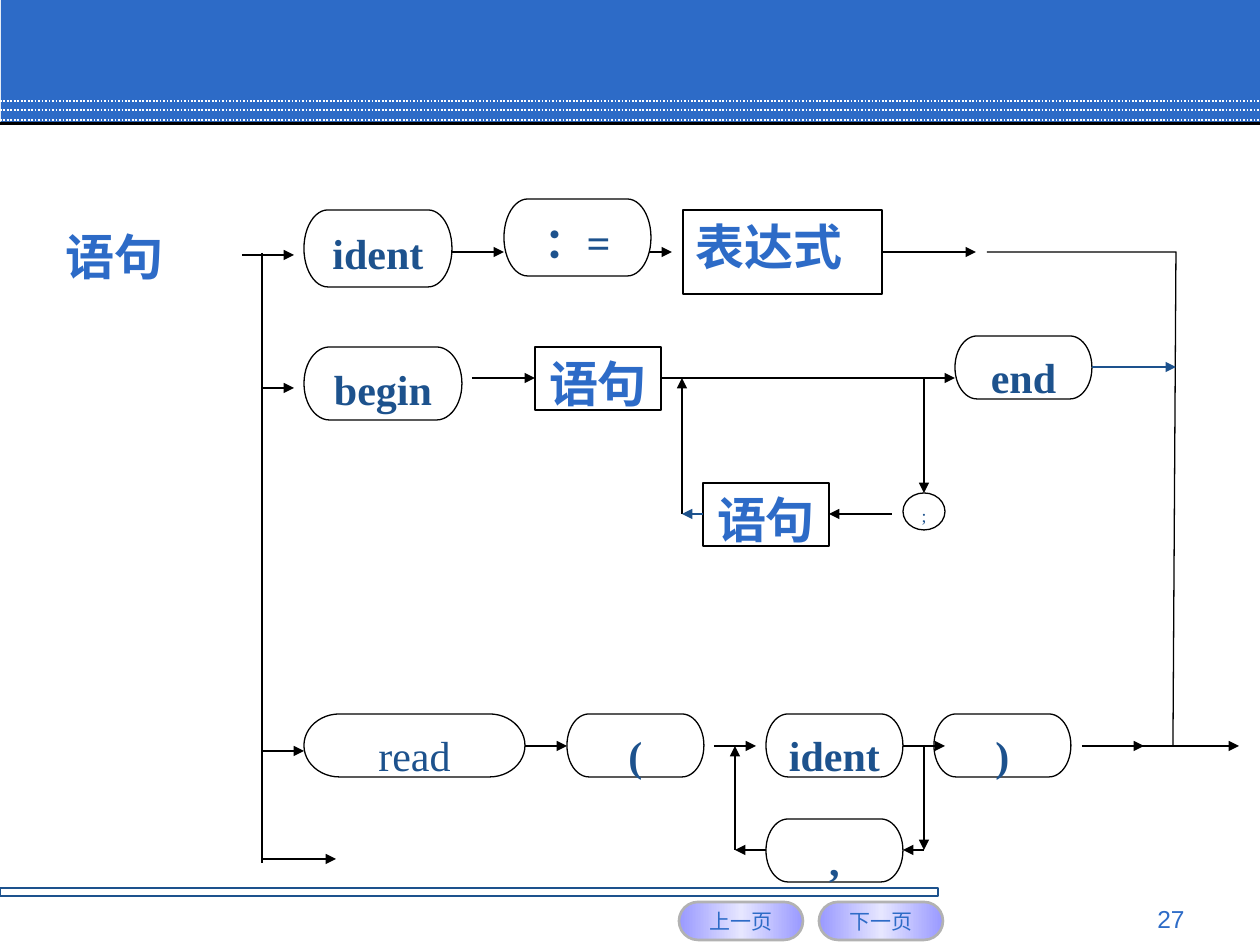
from copy import deepcopy
from pptx import Presentation
from pptx import util as u
from pptx.dml.color import RGBColor
from pptx.enum import dml, shapes, text
from pptx.oxml.ns import qn
from lxml import etree

PX = 914400 / 126
THEME = dict(
    blue="2D6BC7", navy="1D528D", black="000000", white="FFFFFF", gray="B2B2B2",
    lilac="9999FF", pale="E6E6FF",
    latin="Times New Roman", sans="Arial", chinese="Noto Sans CJK SC",
    tiny=10, button=12, number=14, token=24, rule=28, thin=0.75)

RULE_LINES = [101, 110, 120]
BUTTONS = [("上一页", 679), ("下一页", 819)]

TERMINALS = [
    ("ident", 304, 210, 148, 77),
    ("：=", 504, 199, 147, 77),
    ("begin", 304, 347, 158, 73),
    ("end", 955, 336, 137, 63),
    ("read", 304, 714, 221, 63),
    ("(", 567, 714, 137, 63),
    ("ident", 766, 714, 137, 63),
    (")", 934, 714, 137, 63),
    (",", 766, 819, 137, 63),
]
NONTERMINALS = [
    ("表达式", 683, 210, 199, 84),
    ("语句", 535, 347, 126, 63),
    ("语句", 703, 483, 126, 63),
]
ARROWS_BEHIND = [
    (242, 255, 294, 255), (451, 252, 504, 252), (620, 252, 672, 252),
    (262, 388, 294, 388), (262, 751, 304, 751), (262, 859, 336, 859),
]
ARROWS_FRONT = [
    (882, 252, 976, 252),
    (472, 378, 535, 378), (661, 378, 955, 378),
    (924, 378, 924, 493), (892, 514, 829, 514), (682, 514, 682, 378),
    (525, 746, 567, 746), (714, 746, 756, 746), (903, 746, 945, 746),
    (1082, 746, 1144, 746), (1134, 746, 1239, 746),
    (924, 746, 924, 850), (924, 850, 903, 850),
    (766, 850, 735, 850), (735, 850, 735, 746),
]
ARROWS_NAVY = [(703, 514, 682, 514), (1092, 367, 1176, 367)]
EXIT_PATH = [(987, 252), (1176, 252), (1173, 746)]


def emu(*lengths):
    return [u.Emu(round(length * PX)) for length in lengths]


def color(name):
    return RGBColor.from_string(THEME[name])


def outline(line, name, width):
    line.color.rgb = color(name)
    line.width = u.Pt(width)


def write(box, words, size, ink, font="latin", bold=False,
          align=text.PP_ALIGN.CENTER, anchor=text.MSO_ANCHOR.TOP, wrap=True):
    frame = box.text_frame
    frame.text = words
    frame.word_wrap = wrap
    frame.vertical_anchor = anchor
    para = frame.paragraphs[0]
    para.alignment = align
    span = para.runs[0]
    span.font.size = u.Pt(THEME[size])
    span.font.bold = bold
    span.font.name = THEME[font]
    span.font.color.rgb = color(ink)
    east = etree.SubElement(span.font._element, qn("a:ea"))
    east.set("typeface", THEME["chinese"])


def add_box(page, preset, place, fill="white", line="black", width=THEME["thin"]):
    box = page.shapes.add_shape(preset, *emu(*place))
    box.shadow.inherit = False
    if fill:
        box.fill.solid()
        box.fill.fore_color.rgb = color(fill)
    else:
        box.fill.background()
    if line:
        outline(box.line, line, width)
    else:
        box.line.fill.background()
    return box


def add_line(page, ends, ink="black", width=THEME["thin"], arrow=True):
    line = page.shapes.add_connector(shapes.MSO_CONNECTOR.STRAIGHT, *emu(*ends))
    outline(line.line, ink, width)
    if arrow:
        tip = etree.SubElement(line.line._get_or_add_ln(), qn("a:tailEnd"))
        tip.set("type", "triangle")
    etree.SubElement(line._element.spPr, qn("a:effectLst"))
    return line


def add_button(page, words, left):
    button = add_box(page, shapes.MSO_SHAPE.ROUNDED_RECTANGLE,
                     (left, 902, 124, 38), line="gray", width=1.5)
    button.adjustments[0] = 0.5
    button.fill.gradient()
    button.fill.gradient_angle = 0
    stops = button._element.spPr.find(qn("a:gradFill")).find(qn("a:gsLst"))
    stops.insert(1, deepcopy(stops[0]))
    for stop, place, name in zip(button.fill.gradient_stops, (0, 0.5, 1),
                                 ("lilac", "pale", "lilac")):
        stop.position = place
        stop.color.rgb = color(name)
    write(button, words, "button", "blue", "sans",
          anchor=text.MSO_ANCHOR.MIDDLE, wrap=False)


def add_frame(page):
    rectangle = shapes.MSO_SHAPE.RECTANGLE
    add_box(page, rectangle, (1, 0, 1259, 125), "blue", None)
    for top in RULE_LINES:
        line = add_line(page, (0, top, 1260, top), "white", 1, arrow=False)
        line.line.dash_style = dml.MSO_LINE.ROUND_DOT
    add_box(page, rectangle, (0, 122, 1260, 3), "black", None)
    add_box(page, rectangle, (0, 888, 938, 8), None, "navy")
    for words, left in BUTTONS:
        add_button(page, words, left)
    number = page.shapes.add_textbox(*emu(903, 898, 294, 34))
    write(number, "27", "number", "blue", "sans", align=text.PP_ALIGN.RIGHT)


def add_diagram(page):
    for ends in ARROWS_BEHIND:
        add_line(page, ends)
    add_line(page, (262, 253, 262, 863), arrow=False)

    title = page.shapes.add_textbox(*emu(53, 220, 179, 72))
    write(title, "语句", "rule", "blue", "chinese", True, text.PP_ALIGN.LEFT)
    for words, *place in TERMINALS:
        box = add_box(page, shapes.MSO_SHAPE.FLOWCHART_TERMINATOR, place)
        write(box, words, "token", "navy", bold=words != "read")
    for words, *place in NONTERMINALS:
        box = add_box(page, shapes.MSO_SHAPE.FLOWCHART_PROCESS, place)
        align = text.PP_ALIGN.JUSTIFY if words == "表达式" else text.PP_ALIGN.CENTER
        write(box, words, "rule", "blue", bold=True, align=align)
    separator = add_box(page, shapes.MSO_SHAPE.FLOWCHART_CONNECTOR, (903, 493, 42, 37))
    write(separator, ";", "tiny", "navy", align=text.PP_ALIGN.JUSTIFY)

    start, *corners = EXIT_PATH
    builder = page.shapes.build_freeform(*start, scale=PX)
    builder.add_line_segments(corners, close=False)
    route = builder.convert_to_shape()
    route.shadow.inherit = False
    route.fill.background()
    outline(route.line, "black", THEME["thin"])

    for ends in ARROWS_FRONT:
        add_line(page, ends)
    for ends in ARROWS_NAVY:
        add_line(page, ends, "navy")


def main():
    deck = Presentation()
    deck.slide_width, deck.slide_height = emu(1260, 945)
    page = deck.slides.add_slide(deck.slide_layouts[6])
    add_frame(page)
    add_diagram(page)
    deck.save("out.pptx")


if __name__ == "__main__":
    main()
